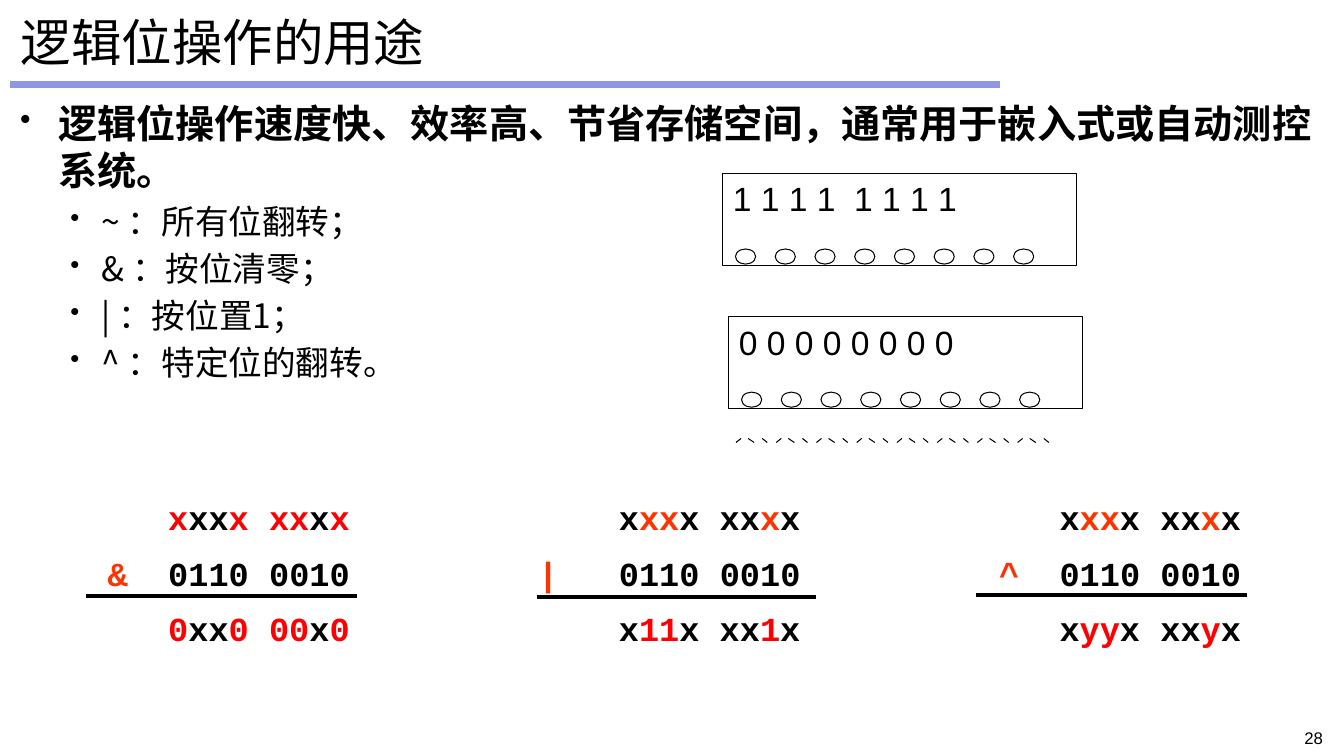
from dataclasses import dataclass
from itertools import groupby

from lxml import etree
from pptx import Presentation
from pptx.dml.color import RGBColor
from pptx.enum.shapes import MSO_CONNECTOR, MSO_SHAPE
from pptx.enum.text import MSO_ANCHOR, PP_ALIGN
from pptx.oxml.ns import qn
from pptx.util import Inches, Pt

RECT, OVAL = MSO_SHAPE.RECTANGLE, MSO_SHAPE.OVAL
LINE = MSO_CONNECTOR.STRAIGHT
TOP, MIDDLE = MSO_ANCHOR.TOP, MSO_ANCHOR.MIDDLE
LEFT, RIGHT = PP_ALIGN.LEFT, PP_ALIGN.RIGHT


@dataclass(frozen=True)
class Theme:
    black: str = "000000"
    red: str = "FF0000"
    orange: str = "FF3300"
    accent: str = "8D97E5"
    sans: str = "Noto Sans CJK SC"
    plain: str = "Arial"
    mono: str = "Courier New"
    title: int = 36
    lead: int = 28
    body: int = 24
    note: int = 12
    thin: float = 0.75
    rule: float = 3
    bar: float = 4.5


class Deck:
    def __init__(self, slide, theme):
        self.shapes = slide.shapes
        self.theme = theme

    def style(self, run, size, face, color=None, bold=False):
        font = run.font
        font.size, font.name, font.bold = Pt(size), face, bold
        font.color.rgb = RGBColor.from_string(color or self.theme.black)
        if face == self.theme.sans:
            etree.SubElement(run._r.get_or_add_rPr(), qn("a:ea"), typeface=face)

    def box(self, x, y, w, h, anchor=TOP):
        shape = self.shapes.add_textbox(Inches(x), Inches(y), Inches(w), Inches(h))
        frame = shape.text_frame
        frame.word_wrap = True
        frame.vertical_anchor = anchor
        return frame

    def label(self, frame, text, size, face, align=LEFT):
        frame.text = text
        para = frame.paragraphs[0]
        para.alignment = align
        self.style(para.runs[0], size, face)

    def indent(self, para, left, first):
        """Set the left margin and the first-line indent in inches."""
        props = para._p.get_or_add_pPr()
        props.set("marL", str(Inches(left)))
        props.set("indent", str(Inches(first)))
        return props

    def bullets(self, frame, lines):
        """Fill the frame with a bold lead line and its sub-points."""
        frame.text = "\n".join(lines)
        for i, para in enumerate(frame.paragraphs):
            size = self.theme.body if i else self.theme.lead
            para.level = 1 if i else 0
            props = self.indent(para, *((0.81, -0.31) if i else (0.38, -0.38)))
            etree.SubElement(props, qn("a:buSzPct"), val="80000")
            etree.SubElement(props, qn("a:buChar"), char="•")
            para.line_spacing = Pt(size * 1.2)
            para.space_before = Pt(size * 0.2 if i else 0)
            self.style(para.runs[0], size, self.theme.sans, bold=not i)

    def line(self, x1, y1, x2, y2, width, color=None):
        link = self.shapes.add_connector(
            LINE, Inches(x1), Inches(y1), Inches(x2), Inches(y2))
        link.line.width = Pt(width)
        link.line.color.rgb = RGBColor.from_string(color or self.theme.black)
        etree.SubElement(link._element.spPr, qn("a:effectLst"))

    def shape(self, kind, x, y, w, h):
        item = self.shapes.add_shape(kind, Inches(x), Inches(y), Inches(w), Inches(h))
        item.shadow.inherit = False
        item.fill.background()
        item.line.width = Pt(self.theme.thin)
        item.line.color.rgb = RGBColor.from_string(self.theme.black)
        return item

    def lamps(self, x, y, bits):
        """Draw a panel of bits with a row of eight lamps at its foot."""
        frame = self.shape(RECT, x, y, 3.51, 0.91).text_frame
        frame.vertical_anchor = TOP
        frame.word_wrap = True
        self.label(frame, bits, self.theme.body, self.theme.plain)
        for i in range(8):
            self.shape(OVAL, x + 0.125 + i * 0.394, y + 0.75, 0.2, 0.15)

    def ticks(self, x, y):
        """Draw eight groups of three slanted strokes."""
        for i in range(8):
            for top, foot in ((0.05, 0), (0.12, 0.18), (0.26, 0.31)):
                left = x + i * 0.399
                self.line(left + top, y, left + foot, y + 0.04, self.theme.thin)

    def sum(self, x, width, op, mask, new, hue, left, hang, rule):
        """Write a bit sum: operand, mask and result, changed bits in colour."""
        t = self.theme
        hot = [(bit == "1") == (op != "&") for bit in mask]
        start = "xxxx xxxx"
        end = "".join(new if h and c != " " else c for h, c in zip(hot, start))

        def parts(text, color):
            for on, pairs in groupby(zip(hot, text), key=lambda pair: pair[0]):
                yield "".join(c for _, c in pairs), color if on else t.black

        rows = (parts(start, hue), ((op + "\t", t.orange), (mask, t.black)),
                parts(end, t.red))
        frame = self.box(x, 4.93, width, 1.6)
        for i, row in enumerate(rows):
            para = frame.paragraphs[0] if i == 0 else frame.add_paragraph()
            self.indent(para, left, -hang if i == 1 else 0)
            para.line_spacing = 0.9
            para.space_before = Pt(13.5 if i else 0)
            for text, color in row:
                run = para.add_run()
                run.text = text
                self.style(run, t.body, t.mono, color, True)
        x1, x2, y = rule
        self.line(x1, y, x2, y, t.rule)


def main():
    show = Presentation()
    show.slide_width, show.slide_height = Inches(13.33), Inches(7.5)
    t = Theme()
    deck = Deck(show.slides.add_slide(show.slide_layouts[6]), t)

    deck.line(0.1, 0.84, 9.92, 0.84, t.bar, t.accent)
    deck.label(deck.box(0.11, 0.08, 13.11, 0.67, MIDDLE),
               "逻辑位操作的用途", t.title, t.sans)
    deck.bullets(deck.box(0.1, 0.94, 13.12, 6.51), (
        "逻辑位操作速度快、效率高、节省存储空间，通常用于嵌入式或自动测控系统。",
        "~ ：所有位翻转；",
        "& ：按位清零；",
        "| ：按位置1；",
        "^ ：特定位的翻转。",
    ))

    mask = "0110 0010"
    deck.sum(0.47, 3.62, "&", mask, "0", t.red, 1.1, 0.6, (0.85, 3.54, 5.91))
    deck.sum(4.74, 3.73, "|", mask, "1", t.orange, 1.3, 0.8, (5.33, 8.09, 5.92))
    deck.sum(9.11, 3.62, "^", mask, "y", t.orange, 1.3, 0.6, (9.68, 12.37, 5.9))

    deck.lamps(7.17, 1.72, "1 1 1 1  1 1 1 1")
    deck.lamps(7.23, 3.14, "0 0 0 0 0 0 0 0")
    deck.ticks(7.3, 4.35)
    deck.label(deck.box(11.91, 7.17, 1.31, 0.25), "28", t.note, t.plain, RIGHT)
    show.save("out.pptx")


if __name__ == "__main__":
    main()
